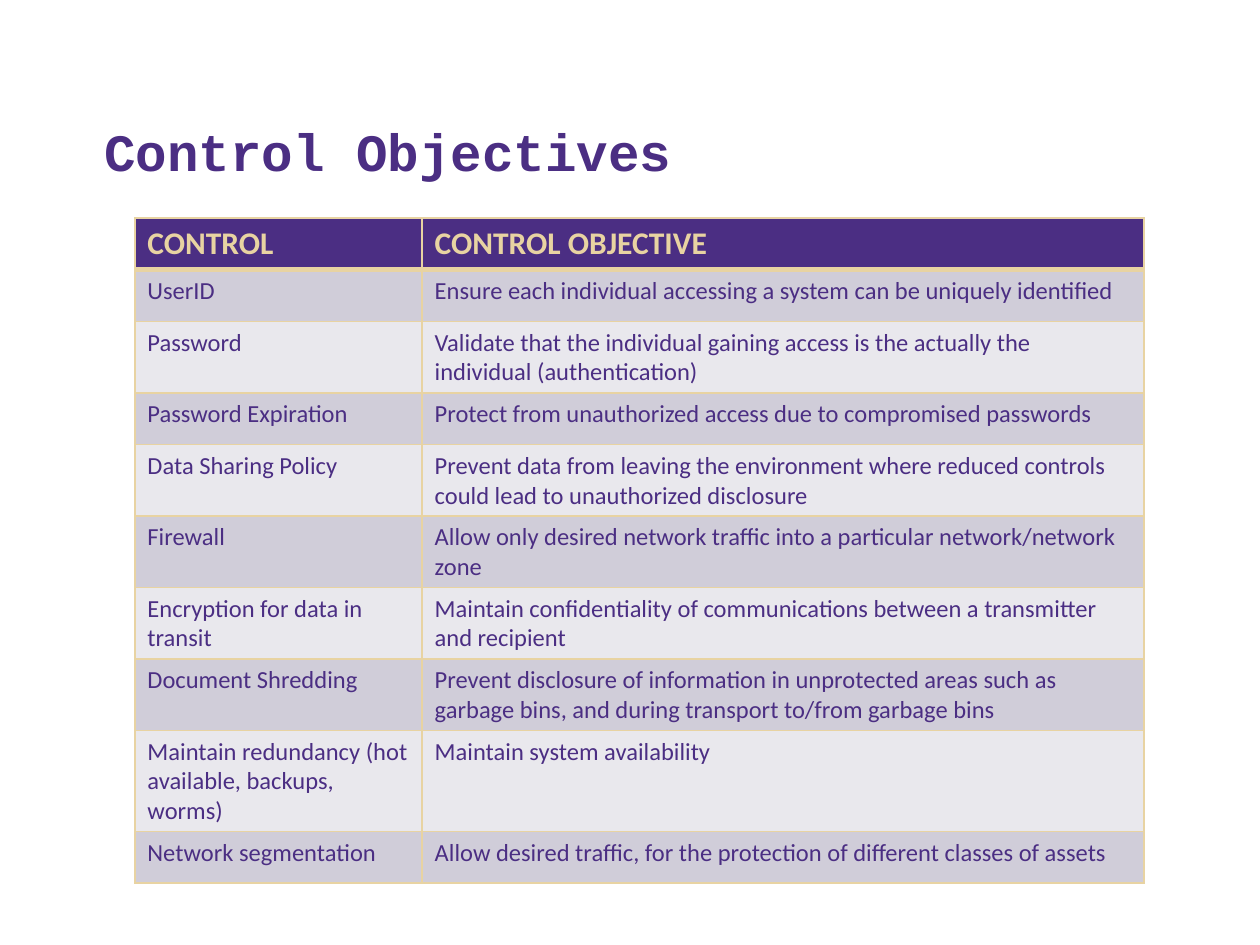
"""Build the Control Objectives slide: a title above a two-column table."""
from dataclasses import dataclass

from lxml.etree import SubElement
from pptx import Presentation
from pptx.dml.color import RGBColor
from pptx.enum.text import MSO_ANCHOR
from pptx.oxml import parse_xml
from pptx.oxml.ns import nsdecls
from pptx.util import Inches, Pt


@dataclass(frozen=True)
class Theme:
    purple: str = "4B2E83"
    gold: str = "E8D3A2"
    bands: tuple = ("D0CDD9", "E9E8ED")
    title_font: str = "Courier New"
    body_font: str = "Calibri"
    title_size: int = 30
    header_size: int = 18
    body_size: int = 14
    thin_line: int = 1
    thick_line: int = 3


def add_run(paragraph, text, font, size, color, bold):
    run = paragraph.add_run()
    run.text = text
    run.font.name = font
    run.font.size = Pt(size)
    run.font.bold = bold
    run.font.color.rgb = RGBColor.from_string(color)


def add_borders(cell, color, widths):
    properties = cell._tc.get_or_add_tcPr()
    for position, (side, width) in enumerate(widths.items()):
        line = parse_xml(f'<a:ln{side} {nsdecls("a")} w="{Pt(width)}"><a:solidFill>'
                         f'<a:srgbClr val="{color}"/></a:solidFill></a:ln{side}>')
        properties.insert(position, line)


theme = Theme()
rows = [
    ("CONTROL", "CONTROL OBJECTIVE"),
    ("UserID", "Ensure each individual accessing a system can be uniquely identified"),
    ("Password", "Validate that the individual gaining access is the actually the "
                 "individual (authentication)"),
    ("Password Expiration", "Protect from unauthorized access due to compromised passwords"),
    ("Data Sharing Policy", "Prevent data from leaving the environment where reduced controls "
                            "could lead to unauthorized disclosure"),
    ("Firewall", "Allow only desired network traffic into a particular network/network zone"),
    ("Encryption for data in transit", "Maintain confidentiality of communications between "
                                       "a transmitter and recipient"),
    ("Document Shredding", "Prevent disclosure of information in unprotected areas such as "
                           "garbage bins, and during transport to/from garbage bins"),
    ("Maintain redundancy (hot available, backups, worms)", "Maintain system availability"),
    ("Network segmentation", "Allow desired traffic, for the protection of different "
                             "classes of assets"),
]

presentation = Presentation()
presentation.slide_width = Inches(10)
presentation.slide_height = Inches(7.5)
slide = presentation.slides.add_slide(presentation.slide_layouts[6])
percent_across = presentation.slide_width / 100
percent_down = presentation.slide_height / 100

title = slide.shapes.add_textbox(
    int(7.3 * percent_across), int(5.47 * percent_down),
    int(89.5 * percent_across), int(14.4 * percent_down))
title.text_frame.word_wrap = True
title.text_frame.vertical_anchor = MSO_ANCHOR.BOTTOM
add_run(title.text_frame.paragraphs[0], "Control Objectives",
        theme.title_font, theme.title_size, theme.purple, True)

column_widths = [int(share * percent_across) for share in (22.8, 57.3)]
row_height = int(5.47 * percent_down)
table = slide.shapes.add_table(
    len(rows), len(column_widths), int(10.7 * percent_across), int(23.07 * percent_down),
    sum(column_widths), row_height * len(rows)).table
for column, width in zip(table.columns, column_widths):
    column.width = width

for row_index, texts in enumerate(rows):
    is_header = row_index == 0
    fill = theme.purple if is_header else theme.bands[(row_index - 1) % 2]
    color = theme.gold if is_header else theme.purple
    size = theme.header_size if is_header else theme.body_size
    widths = dict.fromkeys("LRTB", theme.thin_line)
    if is_header:
        widths["B"] = theme.thick_line
    elif row_index == 1:
        widths["T"] = theme.thick_line
    table.rows[row_index].height = row_height
    for column_index, text in enumerate(texts):
        cell = table.cell(row_index, column_index)
        cell.fill.solid()
        cell.fill.fore_color.rgb = RGBColor.from_string(fill)
        add_borders(cell, theme.gold, widths)
        add_run(cell.text_frame.paragraphs[0], text, theme.body_font, size, color, is_header)

presentation.save("out.pptx")
